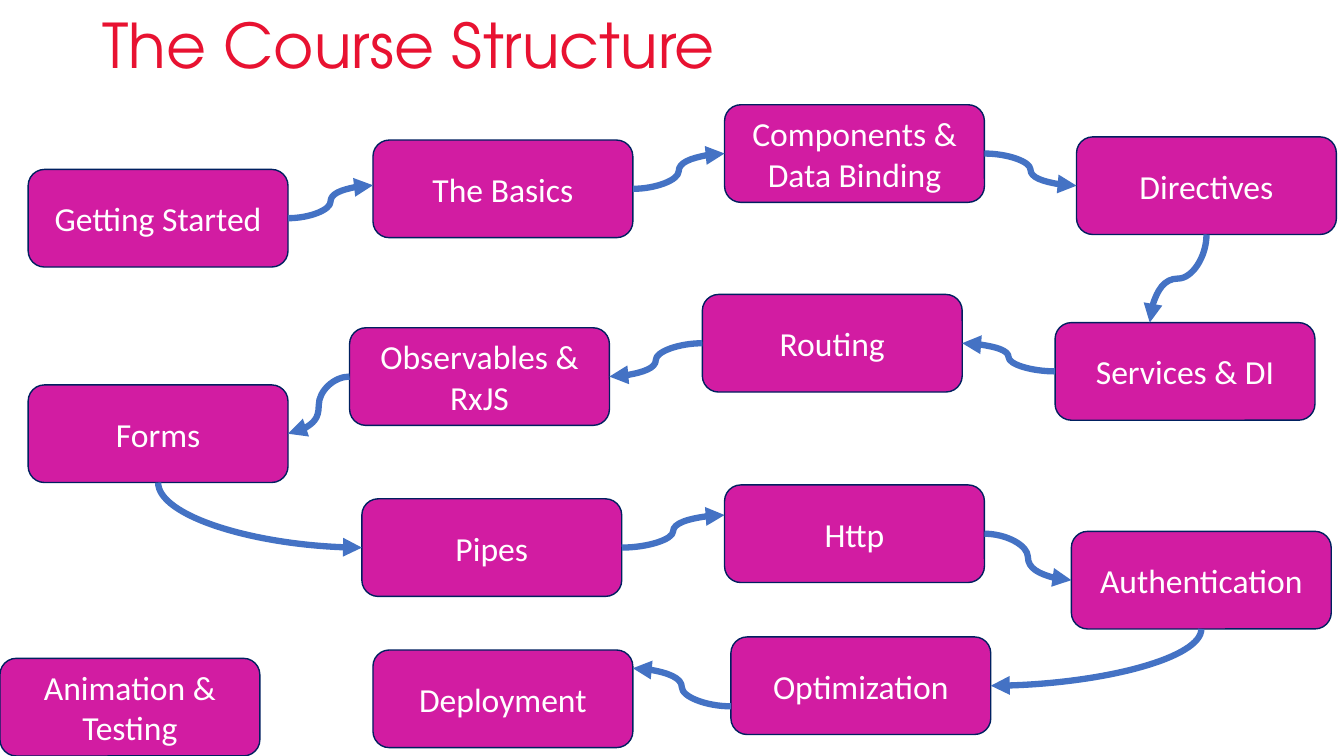
from pptx import Presentation, util as u
from pptx.dml.color import RGBColor
from pptx.enum import shapes, text
from pptx.oxml.ns import qn
from lxml import etree

RED = RGBColor(0xE8, 0x12, 0x31)
MAGENTA = RGBColor(0xD2, 0x1C, 0xA2)
NAVY = RGBColor(0x00, 0x20, 0x60)
BLUE = RGBColor(0x44, 0x72, 0xC4)
WHITE = RGBColor(0xFF, 0xFF, 0xFF)

STEP_WIDTH, STEP_HEIGHT = 6.55, 2.46
# Each side as a fraction of the step's width and height
SIDES = {"left": (0, 0.5), "right": (1, 0.5), "top": (0.5, 0), "bottom": (0.5, 1)}

# Left and top of each step, in centimetres
STEPS = {
    "Getting Started": (0.71, 4.27),
    "The Basics": (9.4, 3.53),
    "Components & Data Binding": (18.26, 2.64),
    "Directives": (27.13, 3.45),
    "Services & DI": (26.59, 8.13),
    "Routing": (17.7, 7.42),
    "Observables & RxJS": (8.81, 8.26),
    "Forms": (0.71, 9.7),
    "Pipes": (9.12, 12.57),
    "Http": (18.26, 12.22),
    "Authentication": (27, 13.39),
    "Optimization": (18.42, 16.05),
    "Deployment": (9.4, 16.38),
    "Animation & Testing": (0, 16.59),
}

# Arrows between successive steps: exit side, entry side, exit shift, entry shift
ARROWS = [
    ("right", "left", 0, -0.09),
    ("right", "left", 0, 0),
    ("right", "left", 0, 0),
    ("bottom", "top", 0, -0.89),
    ("left", "right", 0, 0),
    ("left", "right", 0, 0),
    ("left", "right", 0, 0),
    ("bottom", "left", 0, 0),
    ("right", "left", 0, -0.47),
    ("right", "left", 0, 0),
    ("bottom", "right", 0, 0),
    ("left", "right", 0.52, -0.77),
]


def anchor(step, side, shift):
    """Return the point on a side of a step, moved along that side by shift."""
    left, top = STEPS[step]
    across, down = SIDES[side]
    x, y = left + across * STEP_WIDTH, top + down * STEP_HEIGHT
    return (x, y + shift) if side in ("left", "right") else (x + shift, y)


class CourseSlide:
    title_font = {"name": "TeX Gyre Adventor", "size": u.Pt(44)}
    step_font = {"name": "Calibri", "size": u.Pt(24)}

    def __init__(self, presentation):
        self.slide = presentation.slides.add_slide(presentation.slide_layouts[6])

    def set_text(self, shape, words, font, color, alignment, spacing=None):
        frame = shape.text_frame
        frame.word_wrap = True
        frame.vertical_anchor = text.MSO_ANCHOR.MIDDLE
        paragraph = frame.paragraphs[0]
        paragraph.text = words
        paragraph.alignment = alignment
        paragraph.line_spacing = spacing
        for name, value in font.items():
            setattr(paragraph.font, name, value)
        paragraph.font.color.rgb = color

    def title(self, words):
        box = self.slide.shapes.add_textbox(u.Cm(2.34), u.Cm(0.23), u.Cm(29.21), u.Cm(1.98))
        self.set_text(box, words, self.title_font, RED, text.PP_ALIGN.LEFT, 0.9)

    def step(self, words, left, top):
        shape = self.slide.shapes.add_shape(
            shapes.MSO_SHAPE.ROUNDED_RECTANGLE,
            u.Cm(left), u.Cm(top), u.Cm(STEP_WIDTH), u.Cm(STEP_HEIGHT))
        shape.shadow.inherit = False
        shape.fill.solid()
        shape.fill.fore_color.rgb = MAGENTA
        shape.line.color.rgb = NAVY
        shape.line.width = u.Pt(1)
        self.set_text(shape, words, self.step_font, WHITE, text.PP_ALIGN.CENTER)

    def arrow(self, begin, end, downward, bend):
        """Draw a curved arrow; downward leaves vertically, bend turns only once."""
        if downward:
            # Lay the curve out sideways about its centre, then turn it by 90 degrees
            (x1, y1), (x2, y2) = begin, end
            center_x, center_y = (x1 + x2) / 2, (y1 + y2) / 2
            half_x, half_y = (y2 - y1) / 2, (x1 - x2) / 2
            begin = center_x - half_x, center_y - half_y
            end = center_x + half_x, center_y + half_y
        connector = self.slide.shapes.add_connector(
            shapes.MSO_CONNECTOR.CURVE, *(u.Cm(value) for value in begin + end))
        connector.line.color.rgb = BLUE
        connector.line.width = u.Pt(4.5)
        properties = connector._element.spPr
        if downward:
            properties.find(qn("a:xfrm")).set("rot", str(90 * 60000))
        if bend:
            properties.find(qn("a:prstGeom")).set("prst", "curvedConnector2")
        etree.SubElement(properties.find(qn("a:ln")), qn("a:tailEnd"), type="triangle")
        etree.SubElement(properties, qn("a:effectLst"))


def main():
    presentation = Presentation()
    presentation.slide_width, presentation.slide_height = u.Cm(33.87), u.Cm(19.05)
    course = CourseSlide(presentation)
    course.title("The Course Structure")
    for words, (left, top) in STEPS.items():
        course.step(words, left, top)
    names = list(STEPS)
    for source, target, (leave, enter, leave_shift, enter_shift) in zip(names, names[1:], ARROWS):
        downward = leave == "bottom"
        course.arrow(anchor(source, leave, leave_shift), anchor(target, enter, enter_shift),
                     downward, downward and enter != "top")
    presentation.save("out.pptx")


if __name__ == "__main__":
    main()
